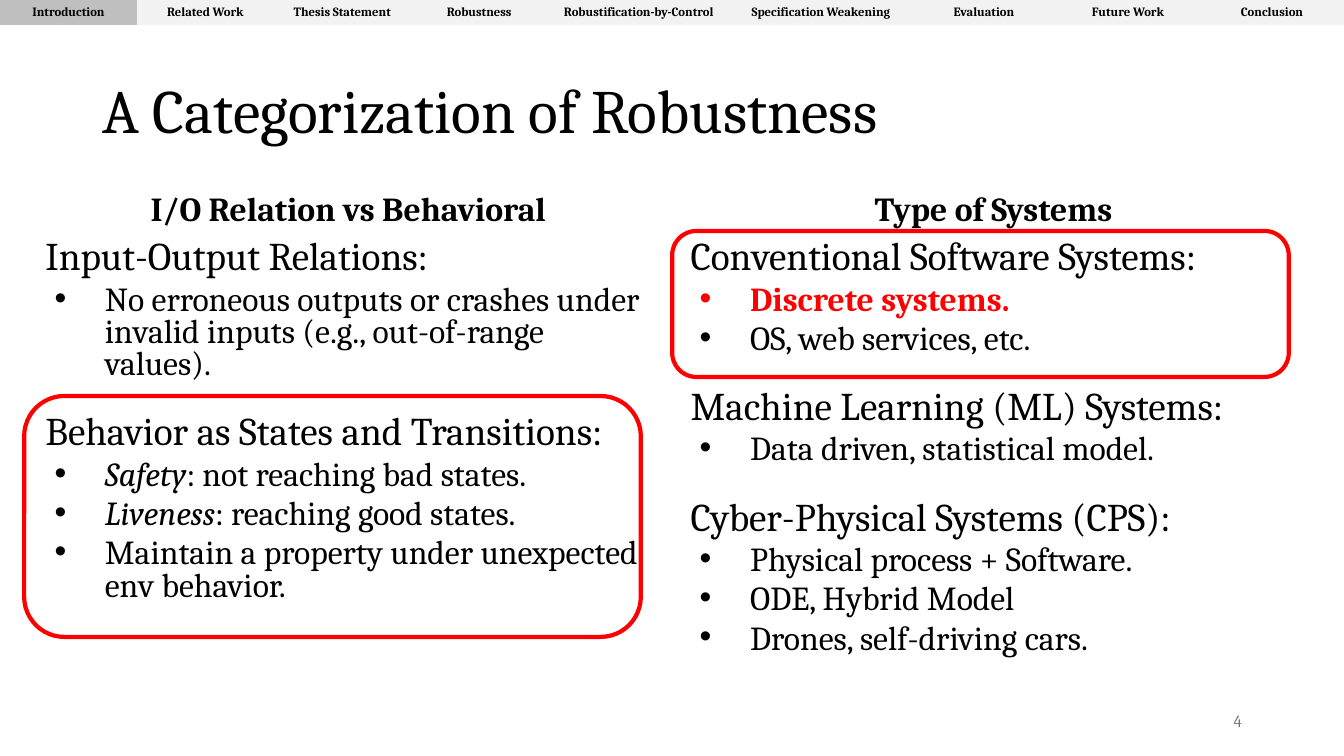
"""Build the slide on a categorization of robustness."""
from dataclasses import dataclass

from lxml.etree import SubElement
from pptx import Presentation
from pptx.dml.color import RGBColor
from pptx.enum.shapes import MSO_SHAPE as Shape
from pptx.enum.text import MSO_ANCHOR as Anchor, MSO_AUTO_SIZE as AutoSize, PP_ALIGN as Align
from pptx.oxml.ns import qn
from pptx.util import Cm, Pt

BLACK = RGBColor(0x00, 0x00, 0x00)
RED = RGBColor(0xFF, 0x00, 0x00)
GREY = RGBColor(0x79, 0x79, 0x79)
TAB_FILL = RGBColor(0xF2, 0xF2, 0xF2)
ACTIVE_TAB_FILL = RGBColor(0xBF, 0xBF, 0xBF)
FONT = "Cambria"
PLAIN_TABLE_STYLE = "{2D5ABB26-0587-4C30-8999-92F81FD0307C}"


@dataclass(frozen=True)
class Area:
    left: float
    top: float
    width: float
    height: float

    def lengths(self) -> tuple:
        return Cm(self.left), Cm(self.top), Cm(self.width), Cm(self.height)


@dataclass(frozen=True)
class Bullet:
    text: str
    lead: str = ""
    color: RGBColor = BLACK
    bold: bool = False


@dataclass(frozen=True)
class Group:
    heading: str
    bullets: tuple


@dataclass(frozen=True)
class Column:
    title: str
    left: float
    width: float
    height: float
    groups: tuple


@dataclass(frozen=True)
class Tab:
    name: str
    width: float


TITLE_AREA = Area(2.33, 1.02, 29.21, 3.68)
NUMBER_AREA = Area(23.93, 17.65, 7.62, 1.02)
BAR_AREA = Area(0, 0, 33.87, 0.63)
HIGHLIGHTS = (Area(0.61, 9.98, 15.54, 6.07), Area(16.94, 5.82, 15.54, 3.68))

TABS = (
    Tab("Introduction", 3.45),
    Tab("Related Work", 3.45),
    Tab("Thesis Statement", 3.45),
    Tab("Robustness", 3.45),
    Tab("Robustification-by-Control", 4.59),
    Tab("Specification Weakening", 4.59),
    Tab("Evaluation", 3.63),
    Tab("Future Work", 3.63),
    Tab("Conclusion", 3.63),
)

COLUMNS = (
    Column("I/O Relation vs Behavioral", 0.89, 15.77, 12.73, (
        Group("Input-Output Relations:", (
            Bullet("No erroneous outputs or crashes under invalid inputs (e.g., out-of-range values)."),
        )),
        Group("Behavior as States and Transitions:", (
            Bullet(": not reaching bad states.", lead="Safety"),
            Bullet(": reaching good states.", lead="Liveness"),
            Bullet("Maintain a property under unexpected env behavior."),
        )),
    )),
    Column("Type of Systems", 17.15, 15.82, 11.25, (
        Group("Conventional Software Systems:", (
            Bullet("Discrete systems.", color=RED, bold=True),
            Bullet("OS, web services, etc."),
        )),
        Group("Machine Learning (ML) Systems:", (
            Bullet("Data driven, statistical model."),
        )),
        Group("Cyber-Physical Systems (CPS):", (
            Bullet("Physical process + Software."),
            Bullet("ODE, Hybrid Model"),
            Bullet("Drones, self-driving cars."),
        )),
    )),
)


def apply(target, **values) -> None:
    for name, value in values.items():
        setattr(target, name, value)


def add_span(para, text: str, size: float, color: RGBColor = BLACK,
             bold: bool = False, italic: bool = False) -> None:
    span = para.add_run()
    span.text = text
    apply(span.font, name=FONT, size=Pt(size), bold=bold, italic=italic)
    span.font.color.rgb = color


def place(box, area: Area, anchor: Anchor):
    left, top, width, height = area.lengths()
    apply(box, left=left, top=top, width=width, height=height)
    apply(box.text_frame, word_wrap=True, auto_size=AutoSize.NONE, vertical_anchor=anchor)
    return box.text_frame


def set_indent(para, bulleted: bool) -> None:
    properties = para._p.get_or_add_pPr()
    properties.set("marL", str(Cm(1.5) if bulleted else 0))
    properties.set("indent", str(-Cm(1.27) if bulleted else 0))
    if bulleted:
        SubElement(properties, qn("a:buFont")).set("typeface", "Arial")
        SubElement(properties, qn("a:buChar")).set("char", "•")
    else:
        SubElement(properties, qn("a:buNone"))


def write_line(box, text: str, size: float, align: Align, spacing: float = 1.0,
               color: RGBColor = BLACK, bold: bool = False) -> None:
    para = box.paragraphs[0]
    set_indent(para, False)
    apply(para, alignment=align, line_spacing=spacing, space_before=Pt(0))
    add_span(para, text, size, color, bold)


def write_groups(box, groups: tuple) -> None:
    for index, group in enumerate(groups):
        para = box.add_paragraph() if index else box.paragraphs[0]
        set_indent(para, False)
        apply(para, line_spacing=0.8, space_before=Pt(24 if index else 0))
        add_span(para, group.heading, 28)
        for bullet in group.bullets:
            para = box.add_paragraph()
            set_indent(para, True)
            apply(para, level=1, line_spacing=0.8, space_before=Pt(5))
            if bullet.lead:
                add_span(para, bullet.lead, 24, italic=True)
            add_span(para, bullet.text, 24, bullet.color, bullet.bold)


def add_highlight(page, area: Area) -> None:
    frame = page.shapes.add_shape(Shape.ROUNDED_RECTANGLE, *area.lengths())
    frame.shadow.inherit = False
    frame.fill.background()
    frame.line.color.rgb = RED
    frame.line.width = Pt(3)


def add_navigation(page) -> None:
    holder = page.shapes.add_table(1, len(TABS), *BAR_AREA.lengths())
    for style in holder.element.iter(qn("a:tableStyleId")):
        style.text = PLAIN_TABLE_STYLE
    apply(holder.table, first_row=False, horz_banding=False)
    for index, tab in enumerate(TABS):
        holder.table.columns[index].width = Cm(tab.width)
        cell = holder.table.cell(0, index)
        apply(cell, margin_top=Cm(0.05), margin_bottom=Cm(0.05), vertical_anchor=Anchor.MIDDLE)
        cell.fill.solid()
        cell.fill.fore_color.rgb = TAB_FILL if index else ACTIVE_TAB_FILL
        write_line(cell.text_frame, tab.name, 9, Align.CENTER, bold=True)


def main() -> None:
    deck = Presentation()
    apply(deck, slide_width=Cm(33.87), slide_height=Cm(19.05))
    page = deck.slides.add_slide(deck.slide_layouts.get_by_name("Comparison"))
    title, *bodies = page.placeholders
    write_line(place(title, TITLE_AREA, Anchor.MIDDLE),
               "A Categorization of Robustness", 44, Align.LEFT, 0.9)
    for column, heading, content in zip(COLUMNS, bodies[::2], bodies[1::2]):
        heading_area = Area(column.left, 4.67, 15.77, 1.27)
        content_area = Area(column.left, 5.94, column.width, column.height)
        write_line(place(heading, heading_area, Anchor.MIDDLE),
                   column.title, 24, Align.CENTER, 0.9, bold=True)
        write_groups(place(content, content_area, Anchor.TOP), column.groups)
    number = page.shapes.add_textbox(*NUMBER_AREA.lengths())
    write_line(place(number, NUMBER_AREA, Anchor.MIDDLE), "4", 12, Align.RIGHT, color=GREY)
    for area in HIGHLIGHTS:
        add_highlight(page, area)
    add_navigation(page)
    deck.save("out.pptx")


if __name__ == "__main__":
    main()
